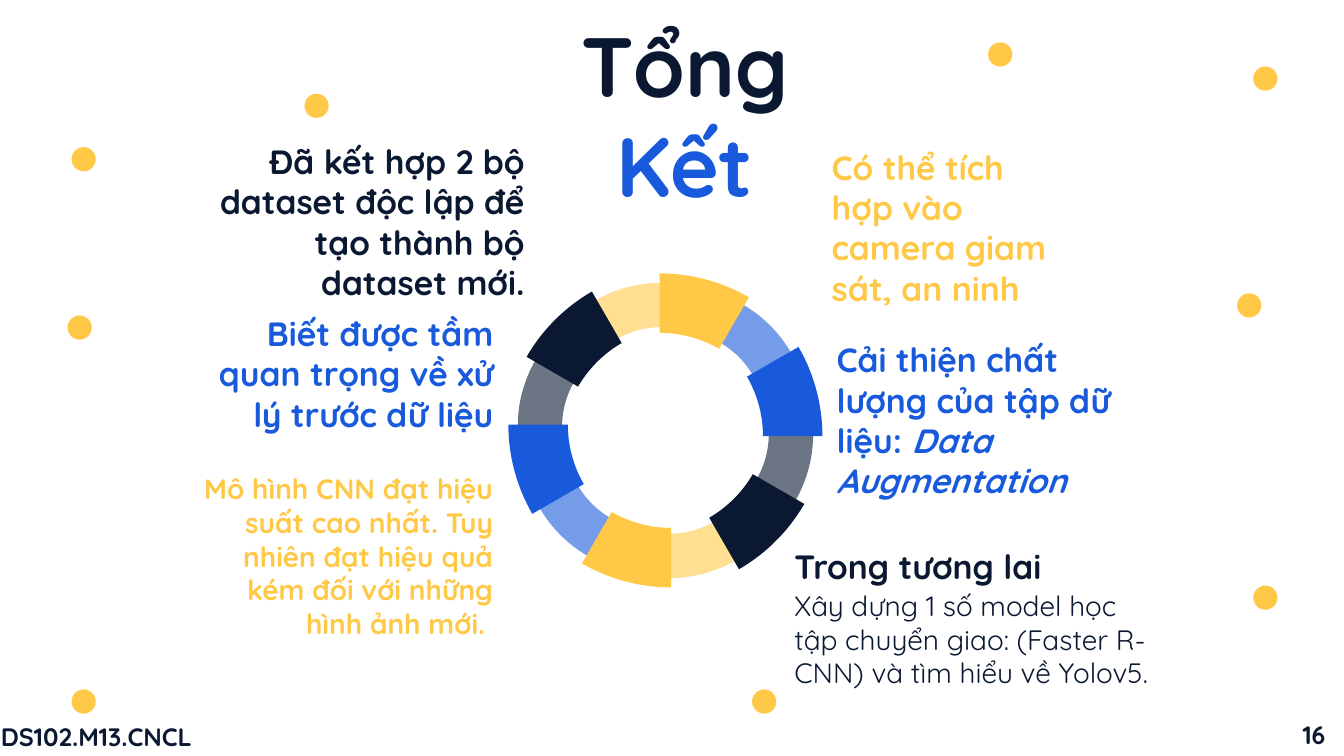
from math import cos, radians, sin

from pptx import Presentation
from pptx.dml.color import RGBColor
from pptx.enum.shapes import MSO_SHAPE
from pptx.enum.text import MSO_ANCHOR, MSO_AUTO_SIZE, PP_ALIGN
from pptx.util import Inches, Pt

NAVY, BLUE, GOLD = "0A1931", "185ADB", "FFC947"
GREY, SKY, CREAM = "6C7583", "749CE9", "FFDF91"
TOP, MID = MSO_ANCHOR.TOP, MSO_ANCHOR.MIDDLE
LEFT, RIGHT, CENTER = PP_ALIGN.LEFT, PP_ALIGN.RIGHT, PP_ALIGN.CENTER

DOTS = [(3.02, 0.93), (0.71, 1.46), (0.67, 3.13), (9.8, 0.42), (12.27, 2.91),
        (12.43, 0.66), (7.46, 6.84), (0.71, 6.84), (12.43, 5.81)]
HUB = (6.6, 4.27)
RINGS = [(45, 0.88, 1.32, 0.15, [SKY, GREY, CREAM]),
         (15, 1.18, 1.77, -0.22, [GOLD, BLUE, NAVY])]
NOTES = [
    ((8.15, 1.6, 2.58, 1.31), 24, GOLD, LEFT, MID,
     "Có thể tích hợp vào camera giam sát, an ninh"),
    ((7.78, 5.37, 2.76, 0.52), 24, NAVY, LEFT, TOP, "Trong tương lai"),
    ((1.79, 1.35, 3.51, 1.31), 24, NAVY, RIGHT, TOP,
     "Đã kết hợp 2 bộ dataset độc lập để tạo thành bộ dataset mới."),
    ((1.83, 4.79, 3.16, 1.45), 20, GOLD, RIGHT, MID,
     "Mô hình CNN đạt hiệu suất cao nhất. Tuy nhiên đạt hiệu quả kém "
     "đối với những hình ảnh mới. "),
    ((1.94, 3.05, 3.05, 1.31), 24, BLUE, RIGHT, MID,
     "Biết được tầm quan trọng về xử lý trước dữ liệu"),
    ((-0.09, 7.11, 2.39, 0.4), 18, NAVY, LEFT, MID, "DS102.M13.CNCL"),
    ((12.82, 7.09, 0.51, 0.4), 18, NAVY, LEFT, MID, "16"),
]


def paint(code):
    """Turn a hex string into a colour."""
    return RGBColor.from_string(code)


def polar(x, y, size, angle):
    """Give the point at a clockwise angle from the top."""
    turn = radians(angle)
    return x + size * sin(turn), y - size * cos(turn)


class Board:
    """Hold the style and the current slide."""

    def __init__(self, slide, face):
        """Keep the slide and its typeface."""
        self.slide, self.face = slide, face

    def fill(self, shape, color):
        """Give a shape a flat fill without line or shadow."""
        shape.shadow.inherit = False
        shape.fill.solid()
        shape.fill.fore_color.rgb = paint(color)
        shape.line.fill.background()

    def dot(self, left, top, size=0.24):
        """Draw a small gold circle."""
        box = map(Inches, (left, top, size, size))
        self.fill(self.slide.shapes.add_shape(MSO_SHAPE.OVAL, *box), GOLD)

    def wedge(self, mid, inner, outer, shift, color):
        """Draw a ring segment that spans thirty degrees."""
        x, y = polar(*HUB, shift, mid)
        sweep = range(mid - 15, mid + 16, 2)
        edge = [polar(x, y, outer, a) for a in sweep]
        edge += [polar(x, y, inner, a) for a in reversed(sweep)]
        first, *rest = [(Inches(a), Inches(b)) for a, b in edge]
        form = self.slide.shapes.build_freeform(*first)
        form.add_line_segments(rest, close=True)
        self.fill(form.convert_to_shape(), color)

    def label(self, shape, runs, align, anchor):
        """Fill a shape with one paragraph of styled runs."""
        frame = shape.text_frame
        look = {"word_wrap": True, "vertical_anchor": anchor,
                "auto_size": MSO_AUTO_SIZE.SHAPE_TO_FIT_TEXT}
        for key, value in look.items():
            setattr(frame, key, value)
        para = frame.paragraphs[0]
        para.alignment = align
        for text, size, color, bold, slant in runs:
            run = para.add_run()
            run.text = text
            style = {"name": self.face, "size": Pt(size),
                     "bold": bold, "italic": slant}
            for key, value in style.items():
                setattr(run.font, key, value)
            run.font.color.rgb = paint(color)

    def text(self, box, runs, align=LEFT, anchor=TOP):
        """Add a text box."""
        shape = self.slide.shapes.add_textbox(*map(Inches, box))
        self.label(shape, runs, align, anchor)

    def title(self, box, runs):
        """Place and fill the title."""
        shape = self.slide.shapes.title
        for key, value in zip(("left", "top", "width", "height"), box):
            setattr(shape, key, Inches(value))
        self.label(shape, runs, CENTER, TOP)


def main():
    """Build the slide."""
    deck = Presentation()
    deck.slide_width, deck.slide_height = Inches(13.33), Inches(7.5)
    board = Board(deck.slides.add_slide(deck.slide_layouts[5]), "Quicksand")
    for spot in DOTS:
        board.dot(*spot)
    for start, inner, outer, shift, hues in RINGS:
        for step, color in enumerate(hues * 2):
            board.wedge(start + 60 * step, inner, outer, shift, color)
    for box, size, color, align, anchor, text in NOTES:
        board.text(box, [(text, size, color, True, False)], align, anchor)
    board.text((7.78, 5.79, 3.83, 1.11), [
        ("Xây dựng 1 số model học tập chuyển giao: (Faster R-CNN) "
         "và tìm hiểu về Yolov5.", 20, NAVY, False, False)])
    board.text((8.2, 3.51, 3.2, 1.31), [
        ("Cải thiện chất lượng của tập dữ liệu: ", 24, BLUE, True, False),
        ("Data Augmentation", 24, BLUE, True, True)], LEFT, MID)
    board.title((5.15, 0.08, 3.29, 1.11), [
        ("Tổng ", 60, NAVY, True, False), ("Kết", 60, BLUE, True, False)])
    deck.save("out.pptx")


if __name__ == "__main__":
    main()
